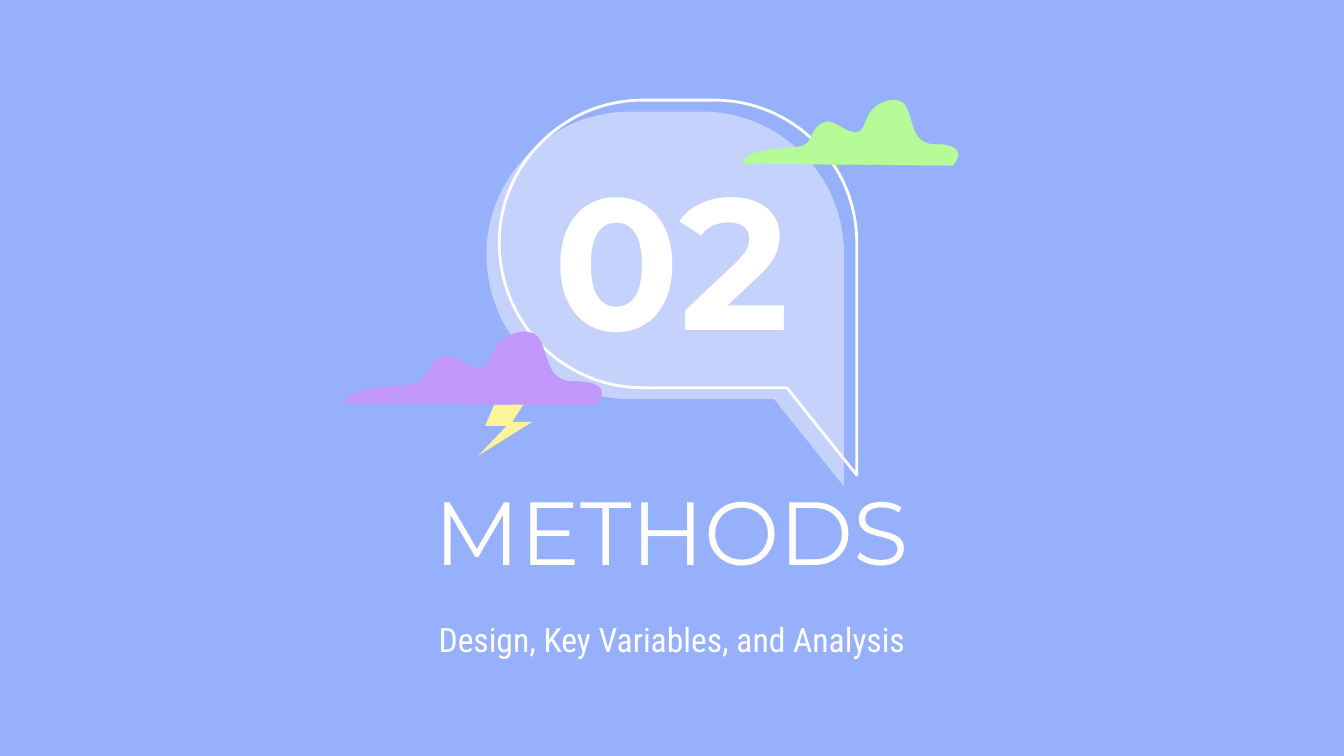
from lxml.etree import SubElement
from pptx import Presentation
from pptx.dml.color import RGBColor
from pptx.enum.text import MSO_ANCHOR as Anchor, PP_ALIGN as Align
from pptx.oxml.ns import qn
from pptx.util import Pt

SCALE = 4572
WHITE = "FFFFFF"

BUBBLE_SIZE = (532, 558)
BUBBLE = [
    (214, 0),
    (96, 0, 0, 96, 0, 212),
    (0, 332, 96, 428, 214, 428),
    (428, 428),
    (532, 558),
    (532, 212),
    (532, 94, 436, 0, 320, 0),
]
CLOUD_SIZE = (408, 110)
CLOUD = [
    (268, 0),
    (266, 0, 264, 0, 262, 0),
    (208, 10, 224, 54, 200, 54),
    (180, 54, 166, 36, 150, 36),
    (146, 36, 142, 38, 138, 40),
    (116, 54, 126, 74, 98, 78),
    (72, 82, 0, 82, 0, 106),
    (372, 109),
    (372, 109, 408, 74, 340, 74),
    (284, 74, 310, 0, 268, 0),
]
BOLT_SIZE = (80, 86)
BOLT = [(74, 0), (28, 0), (10, 42), (42, 42), (0, 86), (80, 36), (50, 36), (74, 0)]


def px(length):
    return round(length * SCALE)


def color(hex_value):
    return RGBColor.from_string(hex_value)


def bend_curves(shape, outline):
    lines = list(shape._element.iter(qn("a:lnTo")))
    for segment in outline[1:]:
        count = len(segment) // 2
        group, lines = lines[:count], lines[count:]
        if count == 3:
            curve = group[0]
            parent = curve.getparent()
            bezier = SubElement(parent, qn("a:cubicBezTo"))
            parent.replace(curve, bezier)
            for line in group:
                bezier.append(line[0])
            for line in group[1:]:
                parent.remove(line)


def add_outline(shapes, box, outline, size, fill=None, opacity=100, line=None, line_width=0):
    left, top, width, height = box
    points = [
        (px(left + x * width / size[0]), px(top + y * height / size[1]))
        for segment in outline
        for x, y in zip(segment[::2], segment[1::2])
    ]
    builder = shapes.build_freeform(*points[0])
    builder.add_line_segments(points[1:], close=True)
    shape = builder.convert_to_shape()
    bend_curves(shape, outline)
    shape.shadow.inherit = False
    if fill:
        shape.fill.solid()
        shape.fill.fore_color.rgb = color(fill)
        if opacity < 100:
            fill_color = shape.fill._xPr.find(qn("a:solidFill"))[0]
            SubElement(fill_color, qn("a:alpha"), val=str(opacity * 1000))
    else:
        shape.fill.background()
    if line:
        shape.line.color.rgb = color(line)
        shape.line.width = Pt(line_width)
    else:
        shape.line.fill.background()


def add_text(slide, box, text, font, size, bold=False, line_spacing=None):
    frame = slide.shapes.add_textbox(*map(px, box)).text_frame
    frame.word_wrap = True
    frame.vertical_anchor = Anchor.MIDDLE
    frame.margin_left = frame.margin_right = px(20)
    frame.margin_top = frame.margin_bottom = px(20)
    paragraph = frame.paragraphs[0]
    paragraph.alignment = Align.CENTER
    if line_spacing:
        paragraph.line_spacing = line_spacing
    run = paragraph.add_run()
    run.text = text
    run.font.name = font
    run.font.size = Pt(size)
    run.font.bold = bold
    run.font.color.rgb = color(WHITE)


def add_bubble(slide, box):
    left, top, width, height = box
    shapes = slide.shapes.add_group_shape().shapes
    add_outline(shapes, box, BUBBLE, BUBBLE_SIZE, fill=WHITE, opacity=44)
    shifted = (left + 19, top - 17, width, height)
    add_outline(shapes, shifted, BUBBLE, BUBBLE_SIZE, line=WHITE, line_width=1.5)


def add_cloud(shapes, box, fill):
    add_outline(shapes, box, CLOUD, CLOUD_SIZE, fill=fill, line=fill, line_width=0.2)


def add_storm_cloud(slide, box):
    left, top, width, height = box
    shapes = slide.shapes.add_group_shape().shapes
    add_outline(shapes, (left + 198, top + 98, *BOLT_SIZE), BOLT, BOLT_SIZE, fill="FBF597")
    add_cloud(shapes, box, "C297FB")


def add_heading(slide, box):
    left, top, width, height = box
    add_text(slide, (left, top, width, 184), "METHODS", "Montserrat", 48, line_spacing=0.9)
    add_text(
        slide,
        (left, top + 189, width, height - 189),
        "Design, Key Variables, and Analysis",
        "Roboto Condensed",
        18,
    )


def build_section_slide(presentation):
    slide = presentation.slides.add_slide(presentation.slide_layouts[6])
    slide.background.fill.solid()
    slide.background.fill.fore_color.rgb = color("97B0FB")
    add_bubble(slide, (724, 166, *BUBBLE_SIZE))
    add_heading(slide, (553, 707, 894, 299))
    add_text(slide, (774, 262, 452, 236), "02", "Montserrat", 100, bold=True)
    add_cloud(slide.shapes, (1106, 149, 342, 98), "B5FB97")
    add_storm_cloud(slide, (514, 494, *CLOUD_SIZE))


def main():
    presentation = Presentation()
    presentation.slide_width = px(2000)
    presentation.slide_height = px(1125)
    build_section_slide(presentation)
    presentation.save("out.pptx")


if __name__ == "__main__":
    main()
